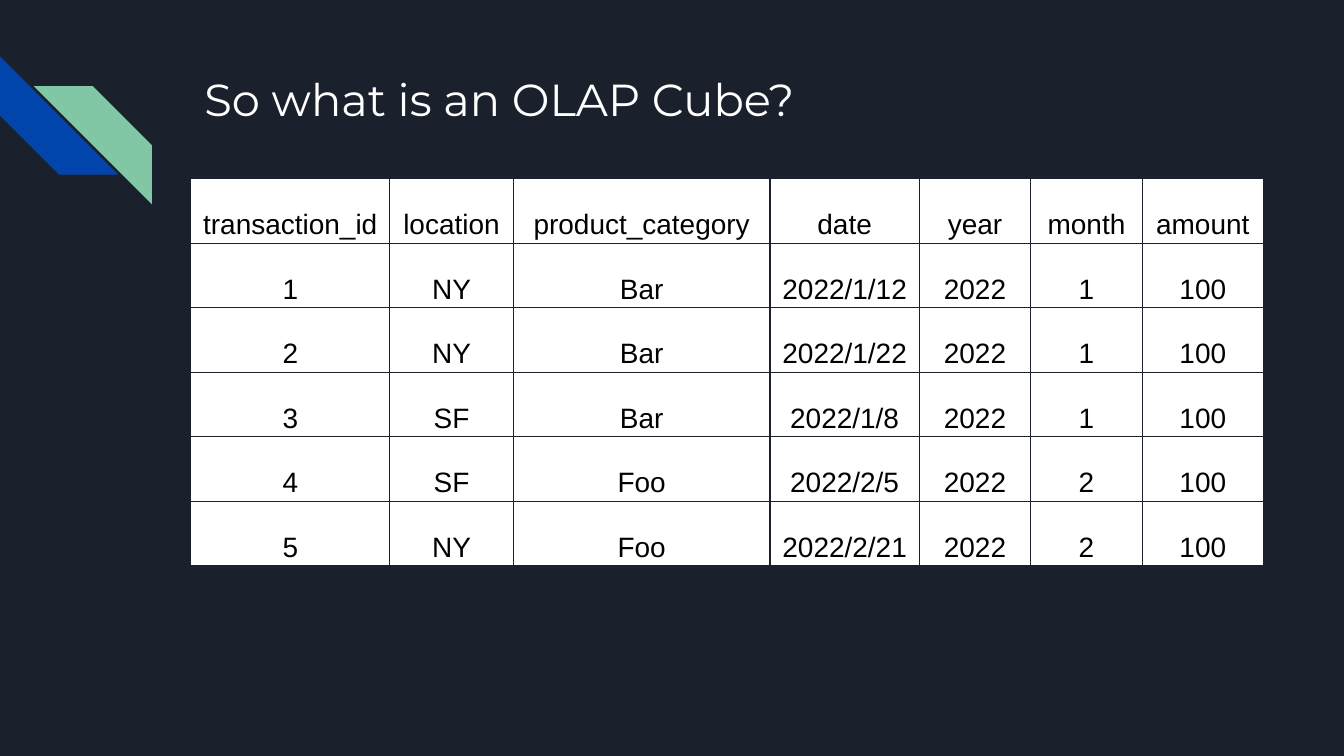
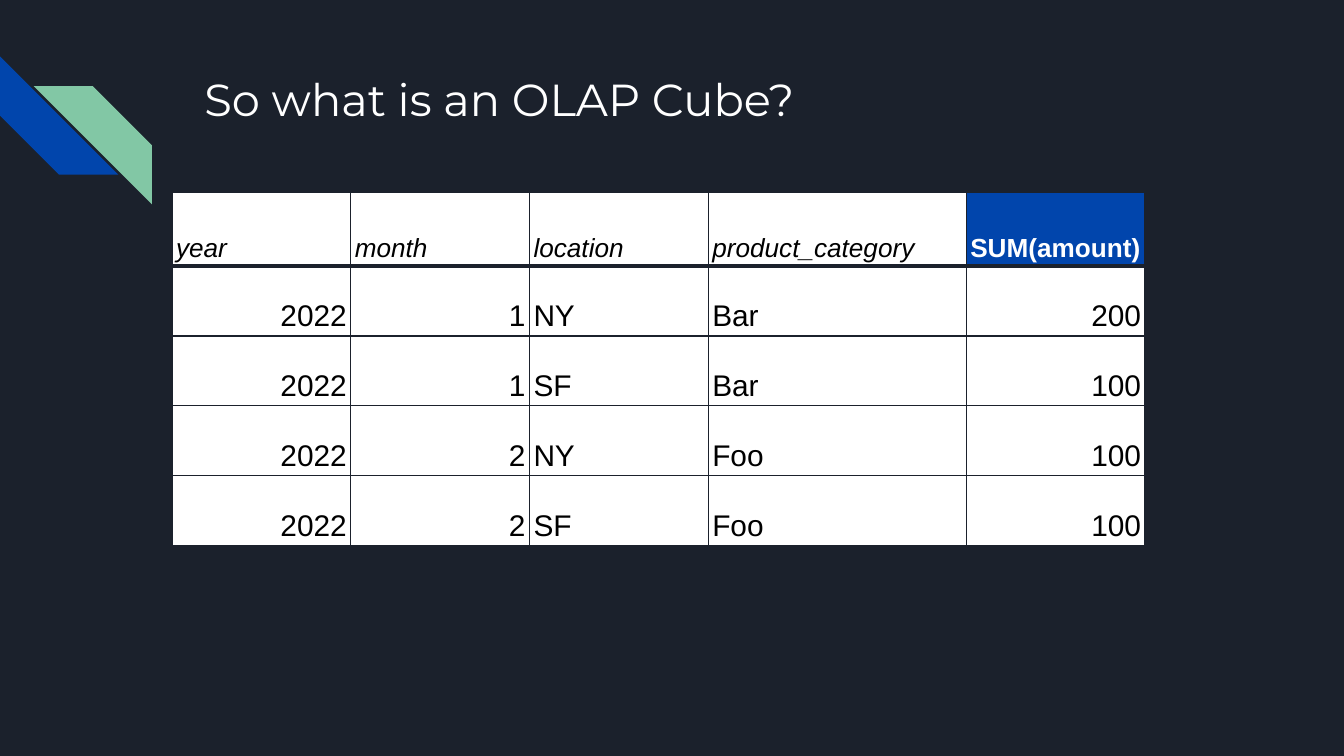
"""Build two slides that explain an OLAP cube with a fact table and its roll-up."""
from lxml import etree
from pptx import Presentation
from pptx import util as u
from pptx.dml.color import RGBColor
from pptx.enum import shapes, text
from pptx.oxml.ns import qn

COLORS = {"bg": "1B212C", "blue": "0145AC", "green": "82C7A5",
          "white": "FFFFFF", "black": "000000"}
TITLE = "So what is an OLAP Cube?"
LEFT, CENTER, RIGHT = text.PP_ALIGN.LEFT, text.PP_ALIGN.CENTER, text.PP_ALIGN.RIGHT

TRANSACTIONS = [
    ["transaction_id", "location", "product_category", "date", "year", "month", "amount"],
    ["1", "NY", "Bar", "2022/1/12", "2022", "1", "100"],
    ["2", "NY", "Bar", "2022/1/22", "2022", "1", "100"],
    ["3", "SF", "Bar", "2022/1/8", "2022", "1", "100"],
    ["4", "SF", "Foo", "2022/2/5", "2022", "2", "100"],
    ["5", "NY", "Foo", "2022/2/21", "2022", "2", "100"],
]
TOTALS = [
    ["year", "month", "location", "product_category", "SUM(amount)"],
    ["2022", "1", "NY", "Bar", "200"],
    ["2022", "1", "SF", "Bar", "100"],
    ["2022", "2", "NY", "Foo", "100"],
    ["2022", "2", "SF", "Foo", "100"],
]


def rgb(name):
    return RGBColor.from_string(COLORS[name])


def add_run(p, words, size, color, font="Arial", bold=False, italic=False):
    r = p.add_run()
    r.text = words
    r.font.name, r.font.size = font, u.Pt(size)
    r.font.bold, r.font.italic = bold, italic
    r.font.color.rgb = rgb(color)


def add_stripe(s, left, top, color, rotation=0, flip=False):
    side = u.Inches(0.88)
    sp = s.shapes.add_shape(shapes.MSO_SHAPE.DIAGONAL_STRIPE,
                            u.Inches(left), u.Inches(top), side, side)
    sp.adjustments[0] = 0.5
    sp.rotation = rotation
    if flip:
        sp.element.spPr.find(qn("a:xfrm")).set("flipH", "1")
    sp.shadow.inherit = False
    sp.fill.solid()
    sp.fill.fore_color.rgb = rgb(color)
    sp.line.fill.background()


def add_title(s, words):
    sp = s.shapes.title
    sp.left, sp.top = u.Inches(1.42), u.Inches(0.43)
    sp.width, sp.height = u.Inches(7.7), u.Inches(1)
    tf = sp.text_frame
    tf.word_wrap = True
    tf.auto_size = text.MSO_AUTO_SIZE.NONE
    tf.vertical_anchor = text.MSO_ANCHOR.TOP
    tf.margin_left = tf.margin_right = tf.margin_top = tf.margin_bottom = u.Inches(0.1)
    p = tf.paragraphs[0]
    p.alignment = LEFT
    add_run(p, words, 24, "white", font="Montserrat")


def add_slide(prs, words):
    s = prs.slides.add_slide(prs.slide_layouts[5])
    add_stripe(s, 0, 0.42, "blue", rotation=270)
    add_stripe(s, 0.25, 0.64, "green", flip=True)
    add_title(s, words)
    return s


def set_borders(cell, top=0.75, bottom=0.75):
    tc_pr = cell._tc.get_or_add_tcPr()
    sides = {"lnL": 0.75, "lnR": 0.75, "lnT": top, "lnB": bottom}
    for i, (side, width) in enumerate(sides.items()):
        ln = etree.Element(qn(f"a:{side}"), w=str(u.Pt(width)))
        fill = etree.SubElement(ln, qn("a:solidFill"))
        etree.SubElement(fill, qn("a:srgbClr"), val=COLORS["bg"])
        tc_pr.insert(i, ln)


def fill_cell(cell, words, align, size, color="black", fill="white", **style):
    cell.fill.solid()
    cell.fill.fore_color.rgb = rgb(fill)
    cell.margin_left = cell.margin_right = u.Inches(0.03)
    cell.margin_top = cell.margin_bottom = u.Inches(0.02)
    cell.vertical_anchor = text.MSO_ANCHOR.BOTTOM
    p = cell.text_frame.paragraphs[0]
    p.alignment = align
    p.line_spacing = 1.15
    add_run(p, words, size, color, **style)


def add_grid(s, left, top, widths, heights):
    frame = s.shapes.add_table(len(heights), len(widths), u.Inches(left), u.Inches(top),
                               u.Inches(sum(widths)), u.Inches(sum(heights)))
    table = frame.table
    table.first_row = table.horz_banding = False
    for column, width in zip(table.columns, widths):
        column.width = u.Inches(width)
    for row, height in zip(table.rows, heights):
        row.height = u.Inches(height)
    return table


def add_transactions(s):
    table = add_grid(s, 1.42, 1.33, [1.48, 0.92, 1.91, 1.11, 0.83, 0.83, 0.9],
                     [0.48] * len(TRANSACTIONS))
    for i, row in enumerate(TRANSACTIONS):
        for j, words in enumerate(row):
            cell = table.cell(i, j)
            fill_cell(cell, words, CENTER, 15)
            set_borders(cell)


def add_totals(s):
    table = add_grid(s, 1.28, 1.43, [1.33, 1.33, 1.33, 1.92, 1.33],
                     [0.55] + [0.52] * (len(TOTALS) - 1))
    for i, row in enumerate(TOTALS):
        for j, words in enumerate(row):
            cell = table.cell(i, j)
            if i > 0:
                fill_cell(cell, words, RIGHT if words.isdigit() else LEFT, 16)
            elif j == len(row) - 1:
                fill_cell(cell, words, LEFT, 14, "white", "blue", bold=True)
            else:
                fill_cell(cell, words, LEFT, 14, italic=True)
            set_borders(cell, top=2.25 if i == 1 else 0.75, bottom=2.25 if i == 0 else 0.75)


def main():
    prs = Presentation()
    prs.slide_width = u.Inches(10)
    prs.slide_height = prs.slide_width * 9 // 16
    bg = prs.slide_master.background.fill
    bg.solid()
    bg.fore_color.rgb = rgb("bg")
    add_transactions(add_slide(prs, TITLE))
    add_totals(add_slide(prs, TITLE))
    prs.save("out.pptx")


if __name__ == "__main__":
    main()
